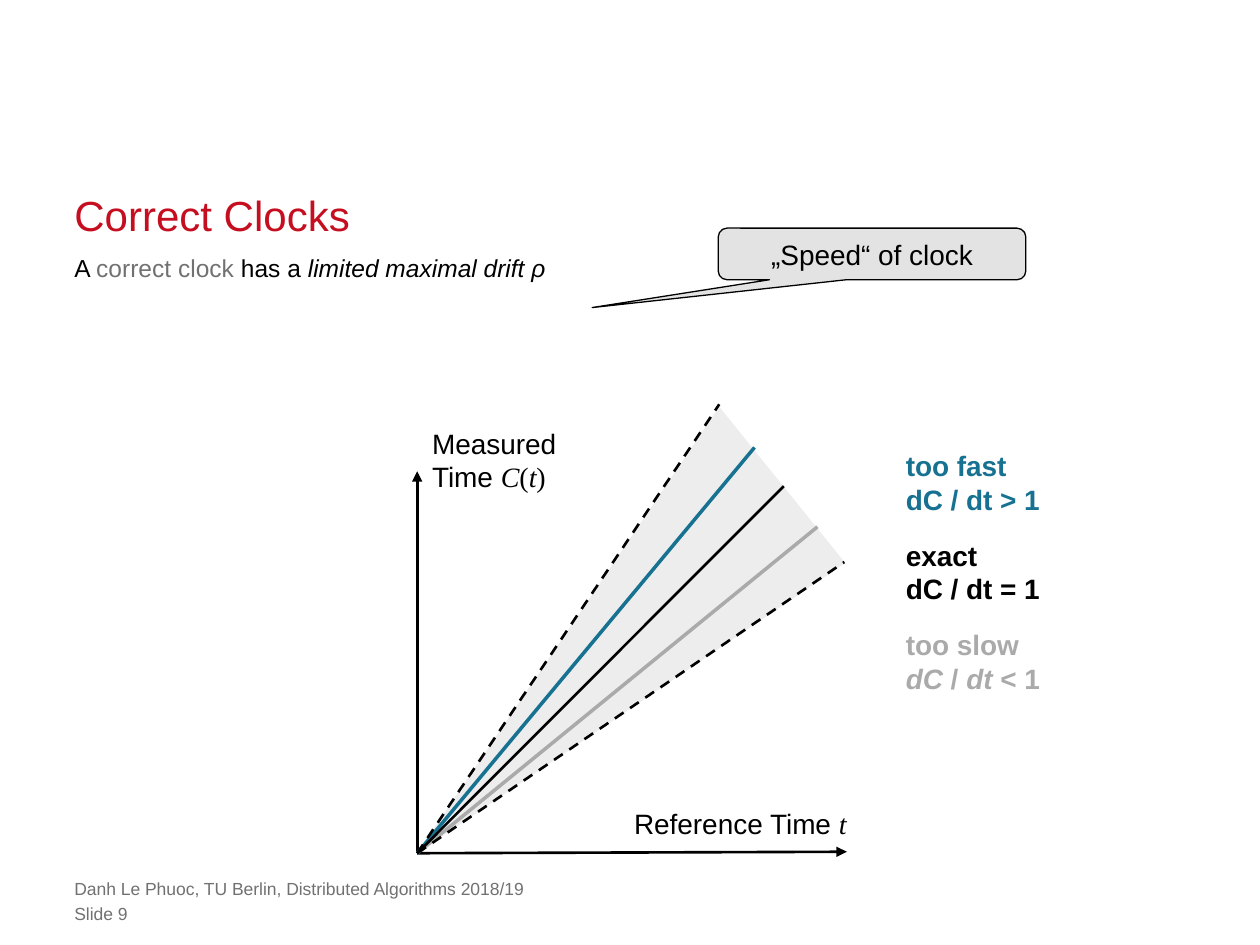
from lxml import etree
from pptx import Presentation
from pptx.dml.color import RGBColor
from pptx.enum.dml import MSO_LINE as Dash
from pptx.enum.shapes import MSO_CONNECTOR as Link, MSO_SHAPE as Form
from pptx.enum.text import MSO_ANCHOR as Anchor, MSO_AUTO_SIZE as Fit, PP_ALIGN as Align
from pptx.oxml.ns import qn
from pptx.util import Cm, Pt

BLACK, GREY, RED = "000000", "717171", "C50E1F"
BLUE, PALE = "177191", "AAAAAA"
SERIF = "Times New Roman"


def hue(code):
    return RGBColor.from_string(code)


class Deck:
    font = "Arial"
    pad = (0.25, 0.13)

    def __init__(self):
        self.prs = Presentation()
        self.prs.slide_width, self.prs.slide_height = Cm(25.4), Cm(19.05)
        self.slide = self.prs.slides.add_slide(self.prs.slide_layouts[5])
        self.shapes = self.slide.shapes

    def typeset(self, frame, lines, size, color, bold=False, align=Align.LEFT,
                space=None, pad=(0, 0), anchor=Anchor.TOP, wrap=True):
        """Each line is a list of runs: plain text or (text, style)."""
        frame.auto_size, frame.word_wrap = Fit.NONE, wrap
        frame.vertical_anchor = anchor
        frame.margin_left = frame.margin_right = Cm(pad[0])
        frame.margin_top = frame.margin_bottom = Cm(pad[1])
        for i, line in enumerate(lines):
            para = frame.add_paragraph() if i else frame.paragraphs[0]
            para.alignment, para.line_spacing = align, space
            font = para.font
            font.name, font.size, font.bold = self.font, Pt(size), bold
            font.color.rgb = hue(color)
            for part in line:
                text, style = (part, {}) if isinstance(part, str) else part
                run = para.add_run()
                run.text = text
                if "face" in style:
                    run.font.name = style["face"]
                if "italic" in style:
                    run.font.italic = style["italic"]
                if "color" in style:
                    run.font.color.rgb = hue(style["color"])

    def title(self, box, text, size, color):
        shape = self.shapes.title
        shape.left, shape.top, shape.width, shape.height = map(Cm, box)
        self.typeset(shape.text_frame, [[text]], size, color, space=1.5,
                     anchor=Anchor.BOTTOM)

    def text(self, box, lines, size, color, **style):
        shape = self.shapes.add_textbox(*map(Cm, box))
        self.typeset(shape.text_frame, lines, size, color, **style)

    def label(self, box, lines, color=BLACK, **style):
        self.text(box, lines, 16, color, pad=self.pad, wrap=False, **style)

    def line(self, start, end, color=BLACK, width=1.5, dash=False, arrow=False):
        link = self.shapes.add_connector(Link.STRAIGHT, *map(Cm, start + end))
        link.line.color.rgb, link.line.width = hue(color), Pt(width)
        if dash:
            link.line.dash_style = Dash.DASH
        props = link._element.spPr
        if arrow:
            etree.SubElement(props.find(qn("a:ln")), qn("a:tailEnd"), type="triangle")
        etree.SubElement(props, qn("a:effectLst"))

    def area(self, points, color, alpha):
        first, *rest = [tuple(map(Cm, point)) for point in points]
        pen = self.shapes.build_freeform(*first, scale=1.0)
        pen.add_line_segments(rest, close=True)
        shape = pen.convert_to_shape()
        shape.shadow.inherit = False
        shape.fill.solid()
        shape.fill.fore_color.rgb = hue(color)
        tone = shape._element.spPr.find(f".//{qn('a:srgbClr')}")
        etree.SubElement(tone, qn("a:alpha"), val=str(alpha * 1000))
        shape.line.fill.background()

    def callout(self, box, text, tip, color):
        shape = self.shapes.add_shape(Form.ROUNDED_RECTANGULAR_CALLOUT, *map(Cm, box))
        shape.shadow.inherit = False
        for i, value in enumerate((*tip, 0.17)):
            shape.adjustments[i] = value
        shape.fill.solid()
        shape.fill.fore_color.rgb = hue(color)
        shape.line.color.rgb, shape.line.width = hue(BLACK), Pt(0.75)
        self.typeset(shape.text_frame, [[text]], 16, BLACK, align=Align.CENTER,
                     pad=(0, 0.13), anchor=Anchor.MIDDLE)


def main():
    deck = Deck()
    slant = {"italic": True}
    serif = {"face": SERIF}
    math = serif | slant

    # Title, statement and footer
    deck.title((1.5, 3.76, 22.4, 1.07), "Correct Clocks", 24, RED)
    deck.text((1.5, 4.8, 22.4, 1.2),
              [["A ", ("correct clock ", {"color": GREY}), "has a ",
                ("limited maximal drift ρ", slant)]],
              14, BLACK, space=1.5)
    notes = ("Danh Le Phuoc, TU Berlin, Distributed Algorithms 2018/19", "Slide 9")
    for top, note in zip((17.7, 18.21), notes):
        deck.text((1.5, top, 18.39, 0.43), [[note]], 10, GREY)

    # Legend
    legend = (
        (BLUE, "too fast", ["dC / dt > 1"]),
        (BLACK, "exact", ["dC / dt = 1"]),
        (PALE, "too slow", [("dC", slant), " / ", ("dt", slant), " < 1"]),
    )
    for i, (color, name, rate) in enumerate(legend):
        deck.label((18.01, 8.92 + 1.8 * i, 3.3, 1.63), [[name], rate], color, bold=True)

    # Range of allowed drift and axes
    zero = (8.41, 17.2)
    deck.area((zero, (14.5, 8.2), (17.04, 11.35)), "DDDDDD", 50)
    for end in ((17.07, 17.17), (8.41, 9.5)):
        deck.line(zero, end, arrow=True)
    deck.label((12.47, 16.13, 4.85, 0.94), [["Reference Time ", ("t", math)]],
               align=Align.RIGHT)
    deck.label((8.46, 8.46, 3.05, 1.63),
               [["Measured"],
                ["Time ", ("C", math), ("(", serif), ("t", math), (")", serif)]])

    # Clock lines and drift limits
    deck.line(zero, (16.48, 10.62), PALE, 2)
    deck.line(zero, (15.21, 9.02), BLUE, 2)
    deck.line(zero, (15.8, 9.8))
    for end in ((14.5, 8.15), (17.02, 11.33)):
        deck.line(zero, end, dash=True)

    # Callout
    deck.callout((14.48, 4.6, 6.2, 1.04), "„Speed“ of clock", (-0.91, 1.04), "E3E3E3")

    deck.prs.save("out.pptx")


if __name__ == "__main__":
    main()
